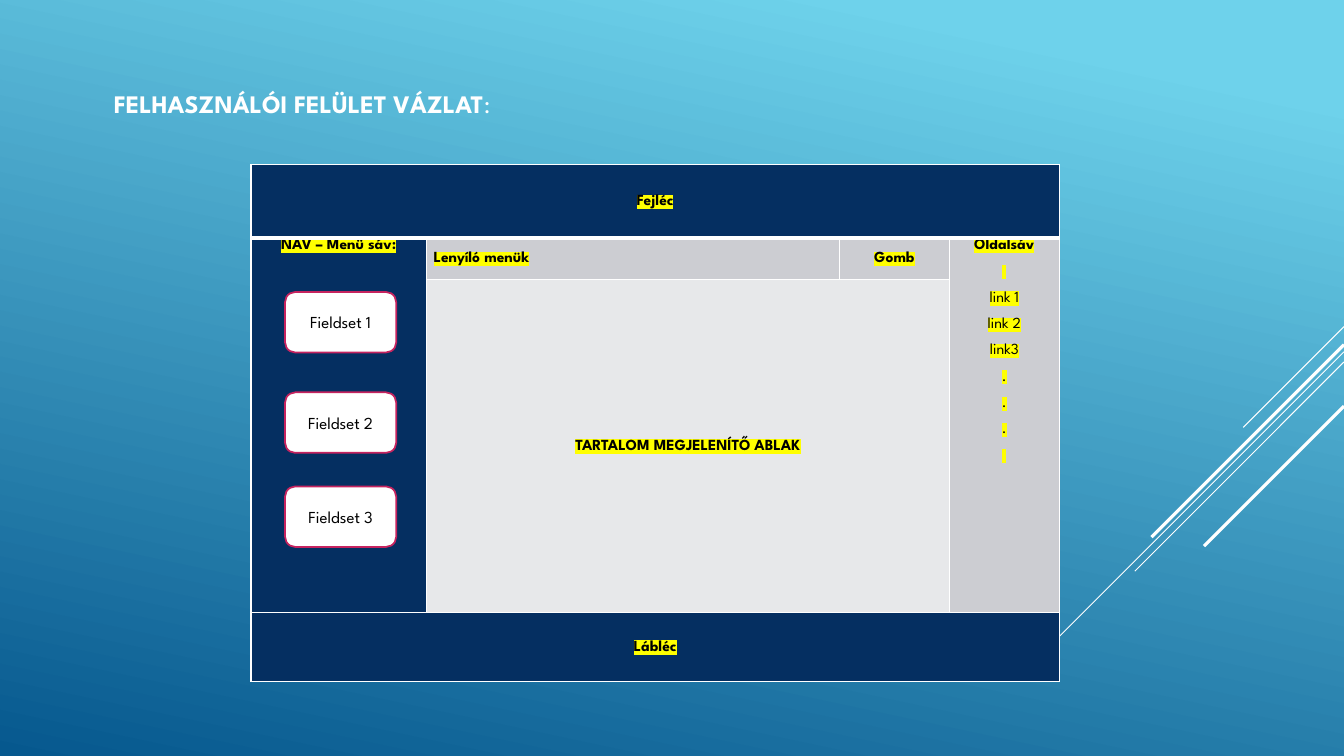
from lxml import etree
from pptx import Presentation
from pptx.dml.color import RGBColor
from pptx.enum.shapes import MSO_CONNECTOR, MSO_SHAPE
from pptx.enum.text import MSO_ANCHOR as ANCHOR, PP_ALIGN as ALIGN
from pptx.oxml import parse_xml
from pptx.oxml.ns import nsdecls, qn
from pptx.util import Pt

FONT = "League Spartan"
WHITE = RGBColor(0xFF, 0xFF, 0xFF)
BLACK = RGBColor(0, 0, 0)
NAVY = RGBColor(0x05, 0x2F, 0x61)
GRAY = RGBColor(0xCC, 0xCD, 0xD2)
PALE = RGBColor(0xE7, 0xE8, 0xEA)
PINK = RGBColor(0xC6, 0x23, 0x5F)
YELLOW = RGBColor(0xFF, 0xFF, 0x00)
SKY = RGBColor(0x6E, 0xD2, 0xEB)
DEEP = RGBColor(0x06, 0x58, 0x8E)

TITLE = [("FELHASZNÁLÓI FELÜLET VÁZLAT", True), (":", False)]
SIDEBAR = ["Oldalsáv", " ", "link 1", "link 2", "link3", ".", ".", ".", " "]
COLS = [125.4, 295, 78.5, 78.5]
ROWS = [52.5, 29.5, 238.2, 49]
CELLS = [
    (0, 0, 0, 3, ["Fejléc"], NAVY, ANCHOR.MIDDLE, ALIGN.CENTER),
    (1, 0, 2, 0, ["NAV – Menü sáv:"], NAVY, ANCHOR.TOP, ALIGN.CENTER),
    (1, 1, 1, 1, ["Lenyíló menük"], GRAY, ANCHOR.MIDDLE, ALIGN.LEFT),
    (1, 2, 1, 2, ["Gomb"], GRAY, ANCHOR.MIDDLE, ALIGN.CENTER),
    (1, 3, 2, 3, SIDEBAR, GRAY, ANCHOR.TOP, ALIGN.CENTER),
    (2, 1, 2, 2, ["TARTALOM MEGJELENÍTŐ ABLAK"], PALE, ANCHOR.MIDDLE, ALIGN.CENTER),
    (3, 0, 3, 3, ["Lábléc"], NAVY, ANCHOR.MIDDLE, ALIGN.CENTER),
]
FIELDSETS = [("Fieldset 1", 208.6), ("Fieldset 2", 280.3), ("Fieldset 3", 347.5)]
RAYS = [
    (233.3, 72, 0.75),
    (251.3, 234.8, 0.75),
    (258.6, 149.4, 0.75),
    (246.2, 137.5, 2.25),
    (290.1, 100, 2.25),
]


def set_font(font, size, color, bold=False):
    font.name, font.size, font.bold = FONT, Pt(size), bold
    font.color.rgb = color


def add_highlight(r):
    r.font.color.rgb = BLACK
    mark = parse_xml(f'<a:highlight {nsdecls("a")}><a:srgbClr val="{YELLOW}"/></a:highlight>')
    r.font._element.find(qn("a:solidFill")).addnext(mark)


def set_borders(cell, row):
    widths = {"L": 1, "R": 1, "T": 3 if row == 1 else 1, "B": 3 if row == 0 else 1}
    for i, (side, width) in enumerate(widths.items()):
        line = parse_xml(
            f'<a:ln{side} {nsdecls("a")} w="{Pt(width)}"><a:solidFill>'
            f'<a:srgbClr val="{WHITE}"/></a:solidFill></a:ln{side}>')
        cell._tc.get_or_add_tcPr().insert(i, line)


def add_rays(slide):
    right = 960
    for top, length, width in RAYS:
        line = slide.shapes.add_connector(
            MSO_CONNECTOR.STRAIGHT, Pt(right), Pt(top), Pt(right - length), Pt(top + length))
        line.line.color.rgb = WHITE
        line.line.width = Pt(width)
        etree.SubElement(line._element.spPr, qn("a:effectLst"))


def add_title(slide):
    tf = slide.shapes.add_textbox(Pt(74.2), Pt(40.3), Pt(473.8), Pt(48.2)).text_frame
    tf.word_wrap = True
    tf.vertical_anchor = ANCHOR.BOTTOM
    for text, bold in TITLE:
        r = tf.paragraphs[0].add_run()
        r.text = text
        set_font(r.font, 18, WHITE, bold)


def add_layout_table(slide):
    table = slide.shapes.add_table(
        len(ROWS), len(COLS), Pt(179.3), Pt(117.5), Pt(sum(COLS)), Pt(sum(ROWS))).table
    table.first_row = table.horz_banding = False
    for col, width in zip(table.columns, COLS):
        col.width = Pt(width)
    for row, height in zip(table.rows, ROWS):
        row.height = Pt(height)
    for top, left, bottom, right, lines, fill, anchor, align in CELLS:
        for y in range(top, bottom + 1):
            for x in range(left, right + 1):
                part = table.cell(y, x)
                part.fill.solid()
                part.fill.fore_color.rgb = fill
                set_borders(part, y)
        cell = table.cell(top, left)
        if (top, left) != (bottom, right):
            cell.merge(table.cell(bottom, right))
        cell.vertical_anchor = anchor
        cell.margin_left = cell.margin_right = Pt(5)
        cell.margin_top = cell.margin_bottom = 0
        tf = cell.text_frame
        for i, text in enumerate(lines):
            p = tf.add_paragraph() if i else tf.paragraphs[0]
            p.alignment, p.line_spacing, p.space_after = align, 1.07, Pt(8)
            set_font(p.font, 11, BLACK, i == 0)
            r = p.add_run()
            r.text = text
            add_highlight(r)


def add_fieldsets(slide):
    for text, top in FIELDSETS:
        sp = slide.shapes.add_shape(
            MSO_SHAPE.ROUNDED_RECTANGLE, Pt(203.6), Pt(top), Pt(79.4), Pt(43.2))
        sp.shadow.inherit = False
        sp.fill.solid()
        sp.fill.fore_color.rgb = WHITE
        sp.line.color.rgb = PINK
        sp.line.width = Pt(1.25)
        tf = sp.text_frame
        tf.vertical_anchor = ANCHOR.MIDDLE
        p = tf.paragraphs[0]
        p.text = text
        p.alignment = ALIGN.CENTER
        set_font(p.font, 12, BLACK)


def main():
    prs = Presentation()
    prs.slide_width, prs.slide_height = Pt(960), Pt(540)
    slide = prs.slides.add_slide(prs.slide_layouts[6])
    fill = slide.background.fill
    fill.gradient()
    fill.gradient_angle = 360 - 102
    for stop, (position, color) in zip(fill.gradient_stops, [(0.1, SKY), (1, DEEP)]):
        stop.position = position
        stop.color.rgb = color
    add_rays(slide)
    add_title(slide)
    add_layout_table(slide)
    add_fieldsets(slide)
    prs.save("out.pptx")


if __name__ == "__main__":
    main()
